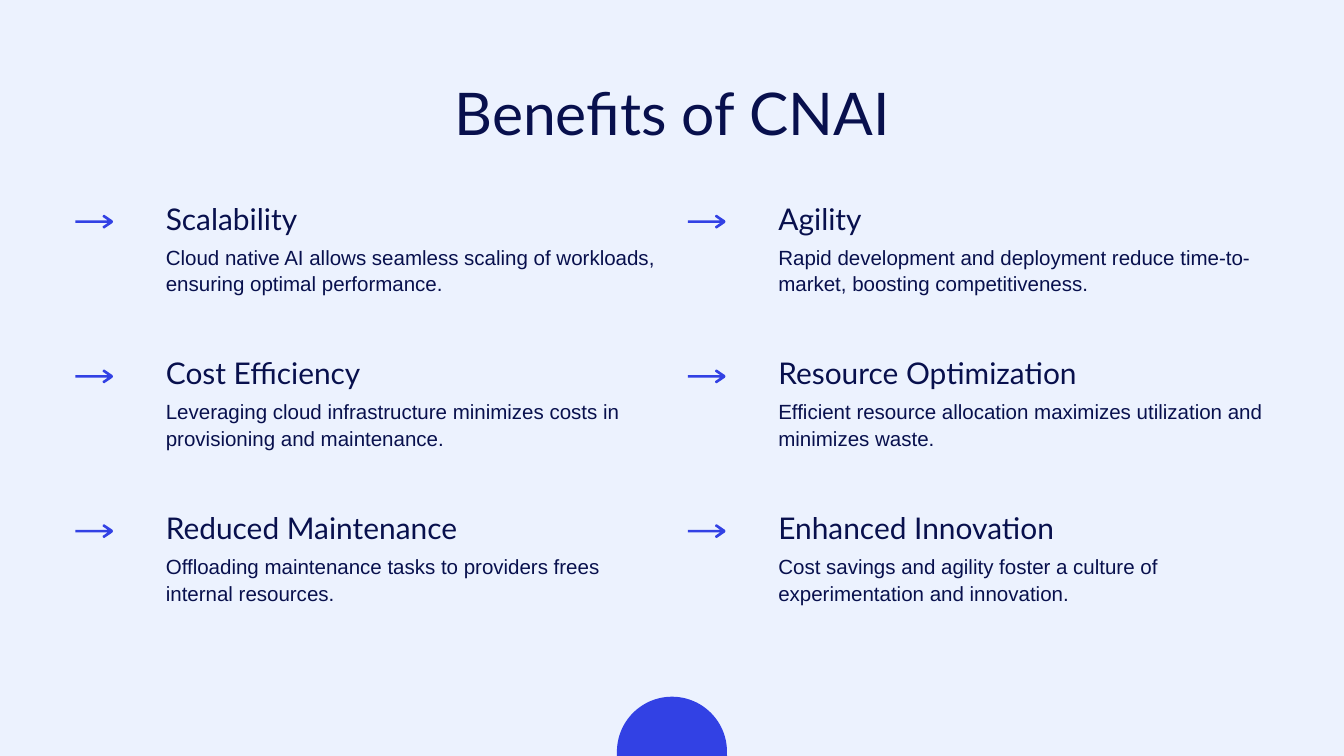
from math import cos, pi, sin

from pptx import Presentation
from pptx.dml.color import RGBColor
from pptx.enum.text import MSO_ANCHOR, MSO_AUTO_SIZE, PP_ALIGN
from pptx.util import Cm, Pt

TOP = MSO_ANCHOR.TOP
NO_FIT = MSO_AUTO_SIZE.NONE
LEFT, CENTER = PP_ALIGN.LEFT, PP_ALIGN.CENTER

PALE = RGBColor(0xEC, 0xF2, 0xFE)
BLUE = RGBColor(0x32, 0x41, 0xE4)
NAVY = RGBColor(0x08, 0x10, 0x4D)

BENEFITS = [
    ("Scalability", "Cloud native AI allows seamless scaling of workloads, "
     "ensuring optimal performance."),
    ("Agility", "Rapid development and deployment reduce time-to-market, "
     "boosting competitiveness."),
    ("Cost Efficiency", "Leveraging cloud infrastructure minimizes costs in "
     "provisioning and maintenance."),
    ("Resource Optimization", "Efficient resource allocation maximizes "
     "utilization and minimizes waste."),
    ("Reduced Maintenance", "Offloading maintenance tasks to providers frees "
     "internal resources."),
    ("Enhanced Innovation", "Cost savings and agility foster a culture of "
     "experimentation and innovation."),
]


def write(sp, text, font, size, spacing, align=LEFT):
    tf = sp.text_frame
    tf.word_wrap = True
    tf.auto_size = NO_FIT
    tf.vertical_anchor = TOP
    tf.margin_left = tf.margin_right = tf.margin_top = tf.margin_bottom = 0
    p = tf.paragraphs[0]
    p.alignment = align
    p.line_spacing = Pt(spacing)
    r = p.add_run()
    r.text = text
    r.font.name = font
    r.font.size = Pt(size)
    r.font.color.rgb = NAVY


def outline(points, x=0, y=0):
    """Draw a closed blue shape from points in centimetres, moved by x and y."""
    pts = [(Cm(x + px), Cm(y + py)) for px, py in points]
    builder = s.shapes.build_freeform(*pts[0])
    builder.add_line_segments(pts[1:], close=True)
    sp = builder.convert_to_shape()
    sp.shadow.inherit = False
    sp.fill.solid()
    sp.fill.fore_color.rgb = BLUE
    sp.line.fill.background()


prs = Presentation()
prs.slide_width, prs.slide_height = Cm(50.8), Cm(28.58)
s = prs.slides.add_slide(prs.slide_layouts[5])
s.background.fill.solid()
s.background.fill.fore_color.rgb = PALE

# Half disc at the bottom edge
arc = [(25.4 + 2.08 * cos(pi + pi * i / 60), 28.42 + 2.08 * sin(pi + pi * i / 60))
       for i in range(61)]
outline(arc + [(27.48, 28.58), (23.32, 28.58)])

# Title
title = s.shapes.title
title.left, title.top, title.width, title.height = Cm(0), Cm(2), Cm(50.8), Cm(3.2)
write(title, "Benefits of CNAI", "Lato", 63, 100.8, CENTER)

# Benefits in two columns, each with an arrow, a heading and a description
upper = [(0, -0.05), (1.22, -0.05), (1.03, -0.18), (1.04, -0.24), (1.09, -0.26),
         (1.4, -0.05), (1.42, 0)]
arrow = upper + [(x, -y) for x, y in reversed(upper[:-1])]
for i, (heading, description) in enumerate(BENEFITS):
    row, col = divmod(i, 2)
    x, y = 6.27 + 23.15 * col, 7.32 + 5.85 * row
    outline(arrow, x - 3.42, y + 1.06)
    box = s.shapes.add_textbox(Cm(x), Cm(y), Cm(18.52), Cm(1.55))
    write(box, heading, "Lato", 32, 45.5)
    box = s.shapes.add_textbox(Cm(x), Cm(y + 1.86), Cm(18.52), Cm(1.95))
    write(box, description, "Arial", 22, 28.4)

prs.save("out.pptx")
